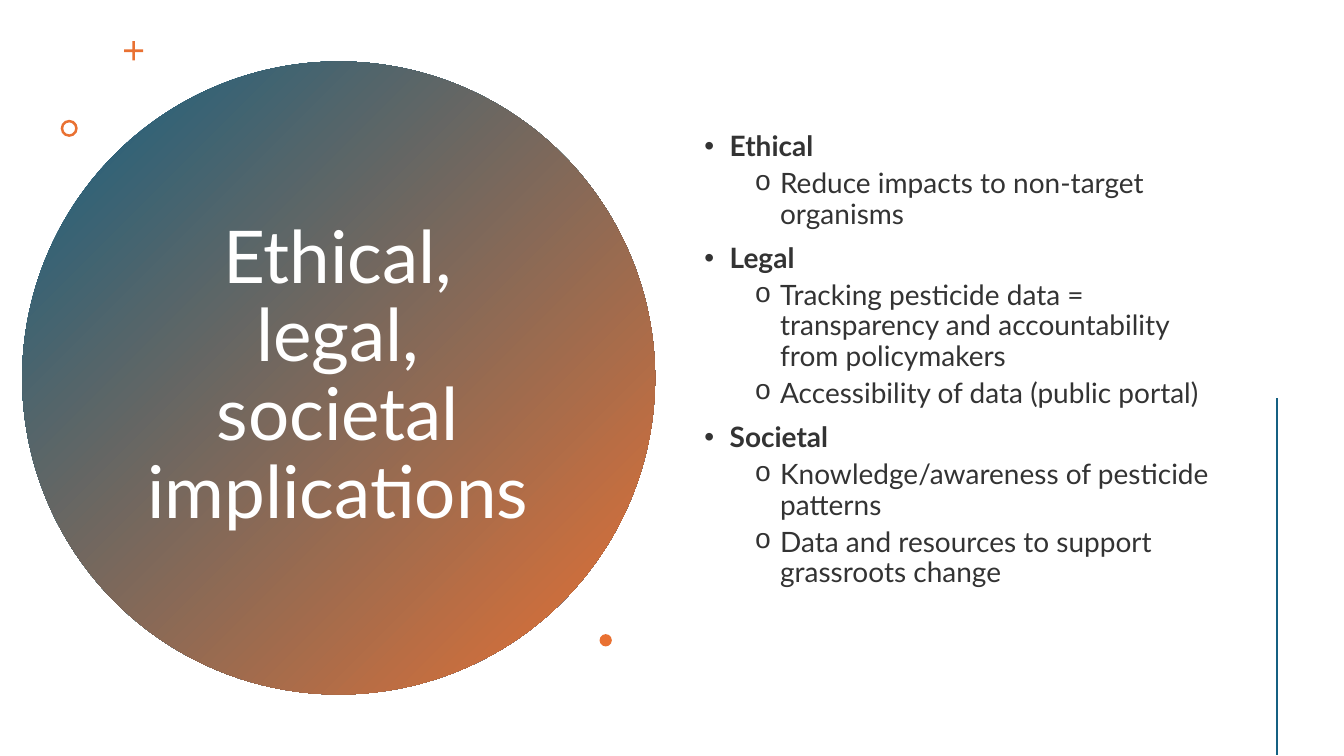
"""Build the slide on ethical, legal and societal implications."""
from lxml.etree import SubElement
from pptx import Presentation
from pptx.dml.color import RGBColor
from pptx.enum.shapes import MSO_CONNECTOR, MSO_SHAPE
from pptx.enum.text import MSO_ANCHOR, PP_ALIGN
from pptx.oxml.ns import qn
from pptx.util import Cm, Pt

BLUE, ORANGE = "156082", "E97132"


def tint(code):
    return RGBColor.from_string(code)


def write(para, text, size=20, color="333333", bold=False, align=PP_ALIGN.LEFT,
          before=0, indent=0, bullet=None, face="Arial"):
    para.alignment = align
    para.line_spacing = 0.9
    para.space_before = Pt(before)
    run = para.add_run()
    run.text = text
    run.font.name = "Lato"
    run.font.size = Pt(size)
    run.font.bold = bold
    run.font.color.rgb = tint(color)
    if bullet:
        props = para._p.get_or_add_pPr()
        props.set("marL", str(Cm(indent)))
        props.set("indent", str(-Cm(0.64)))
        SubElement(props, qn("a:buFont"), typeface=face)
        SubElement(props, qn("a:buChar"), char=bullet)


deck = Presentation()
deck.slide_width, deck.slide_height = Cm(33.87), Cm(19.05)
slide = deck.slides.add_slide(deck.slide_layouts[6])
shapes = slide.shapes

marks = [
    (MSO_SHAPE.OVAL, 0.56, 1.55, 15.95, None),
    (MSO_SHAPE.CROSS, 3.13, 1.04, 0.48, 0.43),
    (MSO_SHAPE.DONUT, 1.53, 3.02, 0.43, 0.15),
    (MSO_SHAPE.OVAL, 15.11, 15.98, 0.31, None),
]
discs = []
for kind, left, top, size, adjust in marks:
    mark = shapes.add_shape(kind, Cm(left), Cm(top), Cm(size), Cm(size))
    mark.shadow.inherit = False
    mark.line.fill.background()
    mark.fill.solid()
    mark.fill.fore_color.rgb = tint(ORANGE)
    if adjust:
        mark.adjustments[0] = adjust
    discs.append(mark)

blend = discs[0].fill
blend.gradient()
blend.gradient_angle = 315
for stop, code in zip(blend.gradient_stops, (BLUE, ORANGE)):
    stop.color.rgb = tint(code)

frames = []
for left, top, width, height in [(3.45, 3.58, 10.13, 11.86), (17.5, 1.45, 13.26, 15.27)]:
    frame = shapes.add_textbox(Cm(left), Cm(top), Cm(width), Cm(height)).text_frame
    frame.word_wrap = True
    frame.vertical_anchor = MSO_ANCHOR.MIDDLE
    frames.append(frame)
title, body = frames

write(title.paragraphs[0], "Ethical, legal, societal implications",
      size=52, color="FFFFFF", align=PP_ALIGN.CENTER)

topics = {
    "Ethical": ["Reduce impacts to non-target organisms"],
    "Legal": ["Tracking pesticide data = transparency and accountability from policymakers",
              "Accessibility of data (public portal)"],
    "Societal": ["Knowledge/awareness of pesticide patterns",
                 "Data and resources to support grassroots change"],
}
para = body.paragraphs[0]
for topic, points in topics.items():
    para = para if topic == "Ethical" else body.add_paragraph()
    write(para, topic, bold=True, before=10, indent=0.64, bullet="•")
    for point in points:
        para = body.add_paragraph()
        para.level = 1
        write(para, point, before=5, indent=1.91, bullet="o", face="Courier New")

rule = shapes.add_connector(MSO_CONNECTOR.STRAIGHT, Cm(32.18), Cm(10.03), Cm(32.18), Cm(19.03))
rule.line.color.rgb = tint(BLUE)
rule.line.width = Pt(2)
SubElement(rule._element.spPr, qn("a:effectLst"))

deck.save("out.pptx")
